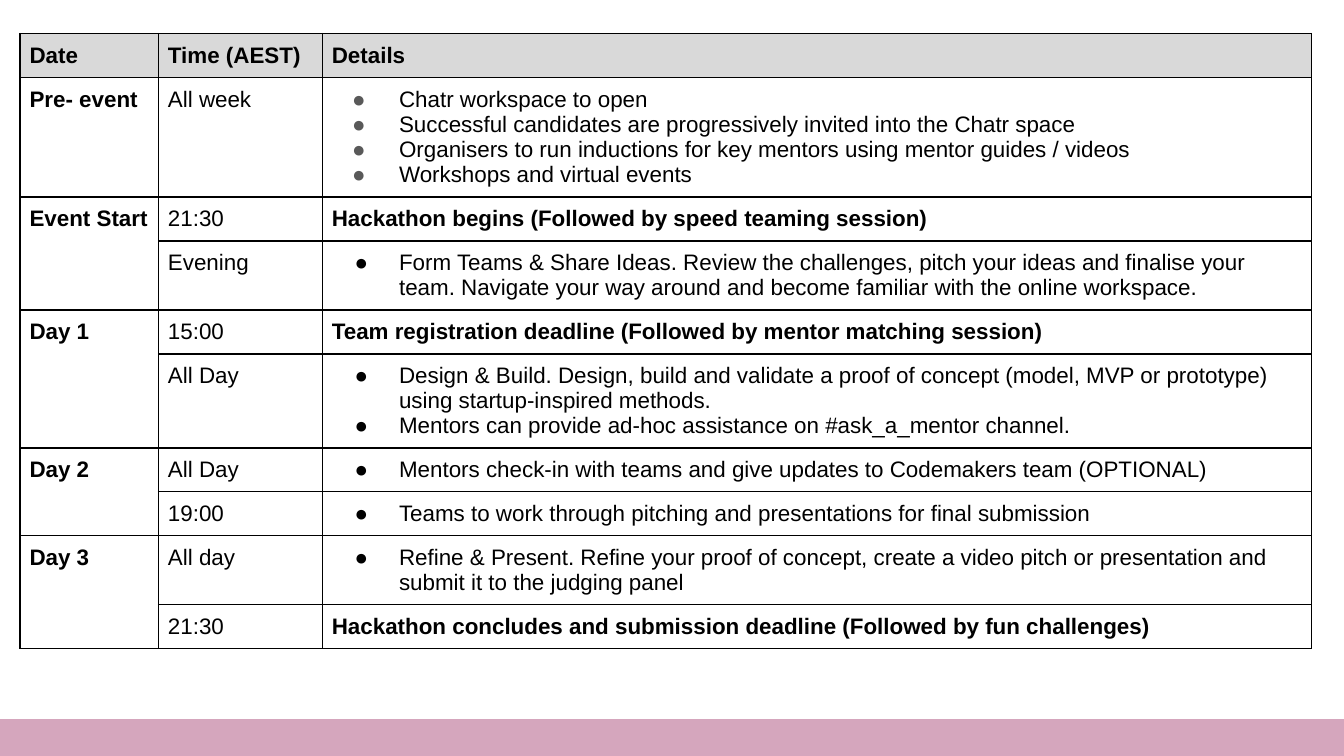
from pptx import Presentation
from pptx import util as u
from pptx.dml.color import RGBColor
from pptx.enum import shapes
from pptx.oxml import parse_xml
from pptx.oxml.ns import nsdecls

BLACK, GREY, HEADER, PINK = "000000", "595959", "D9D9D9", "D5A6BD"
FONT = {"name": "Arial", "size": u.Pt(12)}
MARGINS = dict.fromkeys(
    ("margin_left", "margin_right", "margin_top", "margin_bottom"), u.Inches(0.07))
COLUMNS = (1.03, 1.22, 7.36)
HEADINGS = ("Date", "Time (AEST)", "Details")

# Date, then its slots: time, details (a string is a bold headline, a list is bulleted), lines
SCHEDULE = [
    ("Pre- event", [
        ("All week", ["Chatr workspace to open",
                      "Successful candidates are progressively invited into the Chatr space",
                      "Organisers to run inductions for key mentors using mentor guides / videos",
                      "Workshops and virtual events"], 4)]),
    ("Event Start", [
        ("21:30", "Hackathon begins (Followed by speed teaming session)", 1),
        ("Evening", ["Form Teams & Share Ideas. Review the challenges, pitch your ideas and "
                     "finalise your team. Navigate your way around and become familiar with "
                     "the online workspace."], 2)]),
    ("Day 1", [
        ("15:00", "Team registration deadline (Followed by mentor matching session)", 1),
        ("All Day", ["Design & Build. Design, build and validate a proof of concept (model, "
                     "MVP or prototype) using startup-inspired methods.",
                     "Mentors can provide ad-hoc assistance on #ask_a_mentor channel."], 3)]),
    ("Day 2", [
        ("All Day", ["Mentors check-in with teams and give updates to Codemakers team "
                     "(OPTIONAL)"], 1),
        ("19:00", ["Teams to work through pitching and presentations for final submission"], 1)]),
    ("Day 3", [
        ("All day", ["Refine & Present. Refine your proof of concept, create a video pitch or "
                     "presentation and submit it to the judging panel"], 2),
        ("21:30", "Hackathon concludes and submission deadline (Followed by fun challenges)", 1)]),
]


def rgb(value):
    return RGBColor.from_string(value)


def set_attrs(obj, values):
    for name, value in values.items():
        setattr(obj, name, value)


def row_height(lines):
    return u.Inches(0.13 + 0.19 * lines)


def add_bullet(p, color, hang):
    pPr = p._p.get_or_add_pPr()
    pPr.set("marL", str(u.Inches(0.5)))
    pPr.set("indent", str(u.Inches(-hang)))
    for xml in (f'<a:buClr {nsdecls("a")}><a:srgbClr val="{color}"/></a:buClr>',
                f'<a:buFont {nsdecls("a")} typeface="{FONT["name"]}"/>',
                f'<a:buChar {nsdecls("a")} char="●"/>'):
        pPr.append(parse_xml(xml))


def format_cell(cell, fill=None):
    set_attrs(cell, MARGINS)
    tcPr = cell._tc.get_or_add_tcPr()
    for i, side in enumerate("LRTB"):
        tcPr.insert(i, parse_xml(
            f'<a:ln{side} {nsdecls("a")} w="{u.Pt(1)}"><a:solidFill>'
            f'<a:srgbClr val="{BLACK}"/></a:solidFill></a:ln{side}>'))
    if fill:
        cell.fill.solid()
        cell.fill.fore_color.rgb = rgb(fill)
    else:
        cell.fill.background()


def write_cell(cell, lines, bold=False, bullet=None):
    tf = cell.text_frame
    for i, line in enumerate(lines):
        p = tf.add_paragraph() if i else tf.paragraphs[0]
        if bullet:
            add_bullet(p, *bullet)
        r = p.add_run()
        r.text = line
        set_attrs(r.font, {**FONT, "bold": bold})
        r.font.color.rgb = rgb(BLACK)


def add_schedule(s, left, top):
    heights = [row_height(1)] + [row_height(n) for _, slots in SCHEDULE for *_, n in slots]
    table = s.shapes.add_table(len(heights), len(COLUMNS), u.Inches(left), u.Inches(top),
                               u.Inches(sum(COLUMNS)), sum(heights)).table
    set_attrs(table, {"first_row": False, "horz_banding": False})
    for column, width in zip(table.columns, COLUMNS):
        column.width = u.Inches(width)
    for i, (row, height) in enumerate(zip(table.rows, heights)):
        row.height = height
        for cell in row.cells:
            format_cell(cell, None if i else HEADER)

    for c, heading in enumerate(HEADINGS):
        write_cell(table.cell(0, c), [heading], bold=True)
    row = 1
    for date, slots in SCHEDULE:
        if len(slots) > 1:
            table.cell(row, 0).merge(table.cell(row + len(slots) - 1, 0))
        write_cell(table.cell(row, 0), [date], bold=True)
        for time, details, _ in slots:
            write_cell(table.cell(row, 1), [time])
            if isinstance(details, str):
                write_cell(table.cell(row, 2), [details], bold=True)
            else:
                bullet = (GREY, 0.35) if row == 1 else (BLACK, 0.33)
                write_cell(table.cell(row, 2), details, bullet=bullet)
            row += 1


def add_footer_bar(s, left, top, width, height):
    sp = s.shapes.add_shape(shapes.MSO_SHAPE.RECTANGLE,
                            *map(u.Inches, (left, top, width, height)))
    sp.shadow.inherit = False
    sp.fill.solid()
    sp.fill.fore_color.rgb = rgb(PINK)
    sp.line.fill.background()


def main():
    prs = Presentation()
    width = u.Inches(10)
    set_attrs(prs, {"slide_width": width, "slide_height": width * 9 // 16})
    s = prs.slides.add_slide(prs.slide_layouts[6])
    add_footer_bar(s, 0, 5.35, 10, 0.28)
    add_schedule(s, 0.15, 0.25)
    prs.save("out.pptx")


if __name__ == "__main__":
    main()
